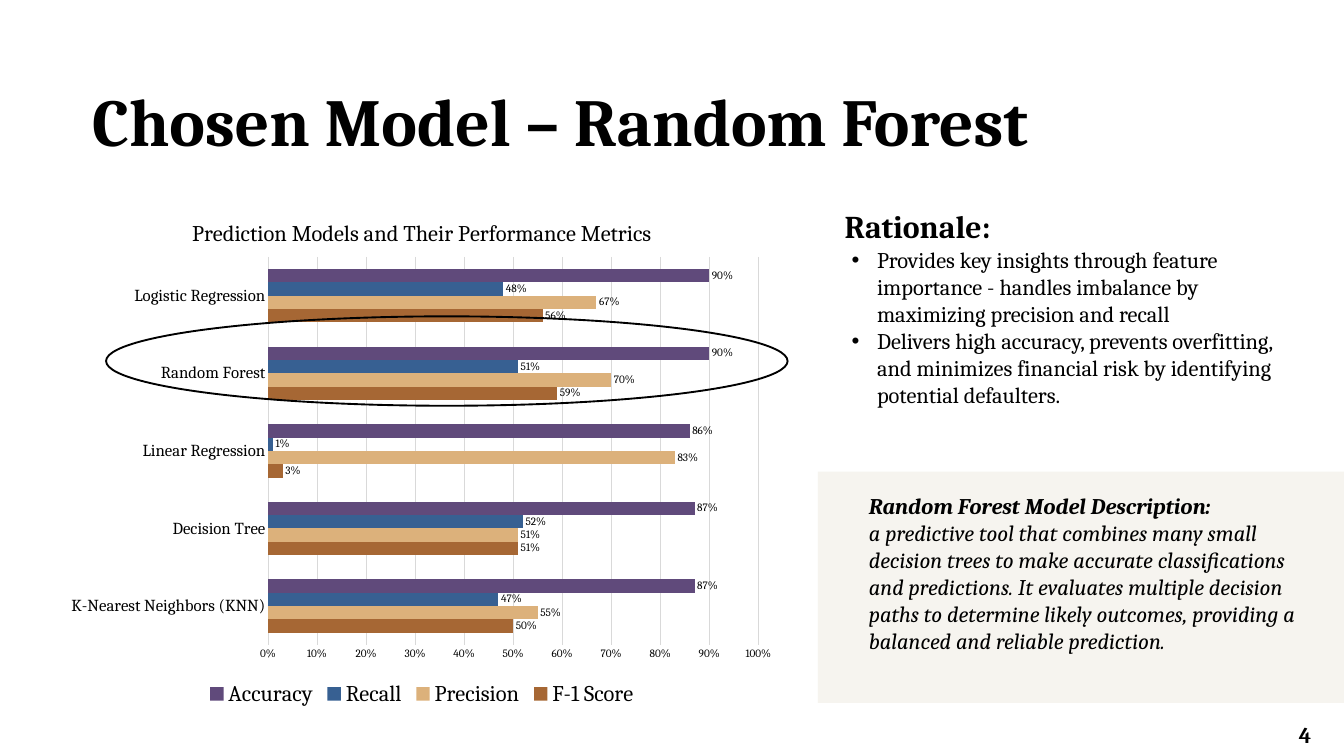
import pptx
import pptx.chart.data
import pptx.dml.color
import pptx.enum.chart
import pptx.enum.shapes
import pptx.oxml
import pptx.oxml.ns
import pptx.util
from pptx.util import Cm

FONT = "Cambria"
HUES = {
    "ink": "000000", "panel": "F6F4EF", "grid": "D9D9D9",
    "F-1 Score": "A66734", "Precision": "DCB17B",
    "Recall": "376092", "Accuracy": "604A7B",
}
MODELS = ["K-Nearest Neighbors (KNN)", "Decision Tree", "Linear Regression",
          "Random Forest", "Logistic Regression"]
SCORES = {
    "F-1 Score": [0.5, 0.51, 0.03, 0.59, 0.56],
    "Precision": [0.55, 0.51, 0.83, 0.7, 0.67],
    "Recall": [0.47, 0.52, 0.01, 0.51, 0.48],
    "Accuracy": [0.87, 0.87, 0.86, 0.9, 0.9],
}
REASONS = [
    "Provides key insights through feature importance - handles imbalance "
    "by maximizing precision and recall",
    "Delivers high accuracy, prevents overfitting, and minimizes financial "
    "risk by identifying potential defaulters.",
]
ABOUT = [
    "Random Forest Model Description:",
    "a predictive tool that combines many small decision trees to make "
    "accurate classifications and predictions. It evaluates multiple decision "
    "paths to determine likely outcomes, providing a balanced and reliable "
    "prediction.",
]


def hue(name):
    return pptx.dml.color.RGBColor.from_string(HUES[name])


def style(font, size, bold=False, italic=False):
    font.name, font.size = FONT, pptx.util.Pt(size)
    font.bold, font.italic = bold, italic
    font.color.rgb = hue("ink")


def write(slide, box, lines, size, bold=False, italic=False, space=None):
    """Add a text box without insets and return its paragraphs."""
    frame = slide.shapes.add_textbox(*map(Cm, box)).text_frame
    frame.word_wrap = True
    frame.margin_left = frame.margin_right = 0
    frame.margin_top = frame.margin_bottom = 0
    frame.text = "\n".join(lines)
    for para in frame.paragraphs:
        if space:
            para.line_spacing = space
        for run in para.runs:
            style(run.font, size, bold, italic)
    return frame.paragraphs


def bullet(para):
    props = para._p.get_or_add_pPr()
    props.set("marL", str(Cm(2.24)))
    props.set("indent", str(Cm(-0.96)))
    space = pptx.oxml.ns.nsdecls("a")
    for xml in (f'<a:buClr {space}><a:srgbClr val="{HUES["ink"]}"/></a:buClr>',
                f'<a:buFont {space} typeface="Arial"/>',
                f'<a:buChar {space} char="•"/>'):
        props.append(pptx.oxml.parse_xml(xml))


def place_plot(chart, x, y, w, h):
    """Fix the inner plot area, in fractions of the chart."""
    area = chart._chartSpace.chart.plotArea
    for old in area.findall(pptx.oxml.ns.qn("c:layout")):
        area.remove(old)
    area.insert(0, pptx.oxml.parse_xml(
        f'<c:layout {pptx.oxml.ns.nsdecls("c")}><c:manualLayout>'
        '<c:layoutTarget val="inner"/><c:xMode val="edge"/><c:yMode val="edge"/>'
        f'<c:x val="{x}"/><c:y val="{y}"/><c:w val="{w}"/><c:h val="{h}"/>'
        '</c:manualLayout></c:layout>'))


def rule(line):
    line.color.rgb = hue("grid")
    line.width = pptx.util.Pt(0.75)


def draw_axes(chart):
    none = pptx.enum.chart.XL_TICK_MARK.NONE
    cats, vals = chart.category_axis, chart.value_axis
    for axis, size in ((cats, 18), (vals, 12)):
        axis.major_tick_mark = axis.minor_tick_mark = none
        style(axis.tick_labels.font, size)
    cats.has_major_gridlines = False
    rule(cats.format.line)
    vals.minimum_scale, vals.maximum_scale, vals.major_unit = 0, 1, 0.1
    vals.tick_labels.number_format = "0%"
    vals.tick_labels.number_format_is_linked = False
    vals.format.line.fill.background()
    vals.has_major_gridlines = True
    rule(vals.major_gridlines.format.line)


def draw_bars(plot):
    plot.gap_width, plot.overlap = 182, 0
    plot.vary_by_categories = False
    for series in plot.series:
        series.invert_if_negative = False
        series.format.fill.solid()
        series.format.fill.fore_color.rgb = hue(series.name)
        tags = series.data_labels
        tags.show_value = True
        tags.number_format, tags.number_format_is_linked = "0%", False
        tags.position = pptx.enum.chart.XL_LABEL_POSITION.OUTSIDE_END
        style(tags.font, 12)


def add_scores(slide, x, y, w, h):
    """Bar chart of all models, with a ring round the chosen one."""
    data = pptx.chart.data.CategoryChartData(number_format="0%")
    data.categories = MODELS
    for name, vals in SCORES.items():
        data.add_series(name, vals)
    kind = pptx.enum.chart.XL_CHART_TYPE.BAR_CLUSTERED
    chart = slide.shapes.add_chart(kind, Cm(x), Cm(y), Cm(w), Cm(h), data).chart
    style(chart.font, 10)
    chart.has_title = True
    title = chart.chart_title.text_frame
    title.text = "Prediction Models and Their Performance Metrics"
    style(title.paragraphs[0].runs[0].font, 24)
    chart.has_legend = True
    chart.legend.position = pptx.enum.chart.XL_LEGEND_POSITION.BOTTOM
    chart.legend.include_in_layout = False
    style(chart.legend.font, 24)
    draw_axes(chart)
    draw_bars(chart.plots[0])
    place_plot(chart, 0.29, 0.11, 0.67, 0.76)

    ring = slide.shapes.add_shape(
        pptx.enum.shapes.MSO_SHAPE.OVAL,
        Cm(x + 1.9), Cm(y + 4.37), Cm(w - 1.9), Cm(3.38))
    ring.shadow.inherit = False
    ring.fill.background()
    ring.line.color.rgb = hue("ink")
    ring.line.width = pptx.util.Pt(2)


def add_reasons(slide, x, y, w, h):
    write(slide, (x + 1.02, y, 9.4, 1.57), ["Rationale:"], 34, True, space=1.4)
    for para in write(slide, (x, y + 2.08, w, h - 2.08), REASONS, 24):
        bullet(para)


def add_about(slide, x, y, w, h):
    panel = slide.shapes.add_shape(
        pptx.enum.shapes.MSO_SHAPE.RECTANGLE, Cm(x), Cm(y), Cm(w), Cm(h))
    panel.shadow.inherit = False
    panel.fill.solid()
    panel.fill.fore_color.rgb = hue("panel")
    panel.line.fill.background()
    head = write(slide, (x + 1.93, y + 0.79, 17.09, 7.19), ABOUT, 24,
                 italic=True)[0]
    head.runs[0].font.bold = True


def main():
    deck = pptx.Presentation()
    deck.slide_width, deck.slide_height = Cm(50.8), Cm(28.58)
    slide = deck.slides.add_slide(deck.slide_layouts[6])
    add_about(slide, 30.91, 17.83, 23.06, 8.74)
    write(slide, (3.48, 3, 43.36, 3.07), ["Chosen Model – Random Forest"], 72, True)
    write(slide, (49.1, 26.77, 1.7, 1.17), ["4"], 24, True, space=1.48)
    add_scores(slide, 2.11, 7.59, 27.66, 19.3)
    add_reasons(slide, 30.91, 7.24, 17.83, 8.23)
    deck.save("out.pptx")


if __name__ == "__main__":
    main()
